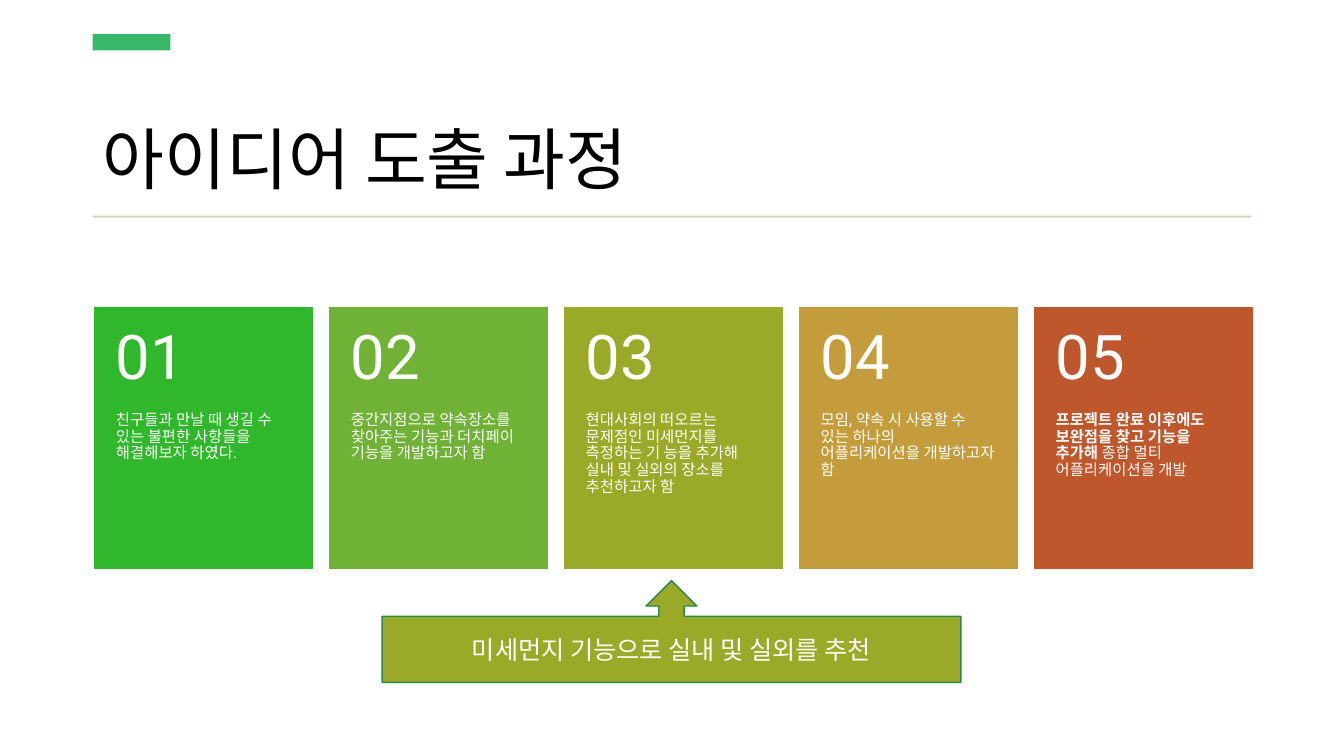
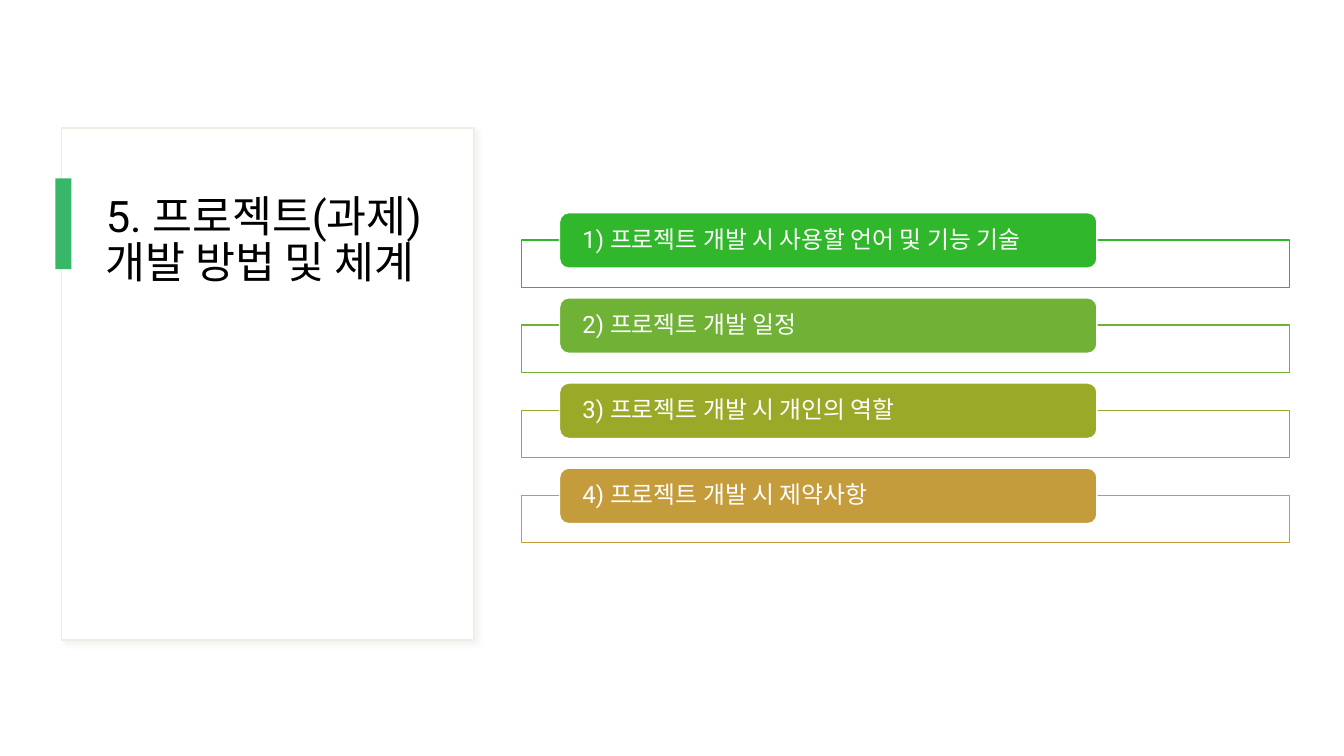
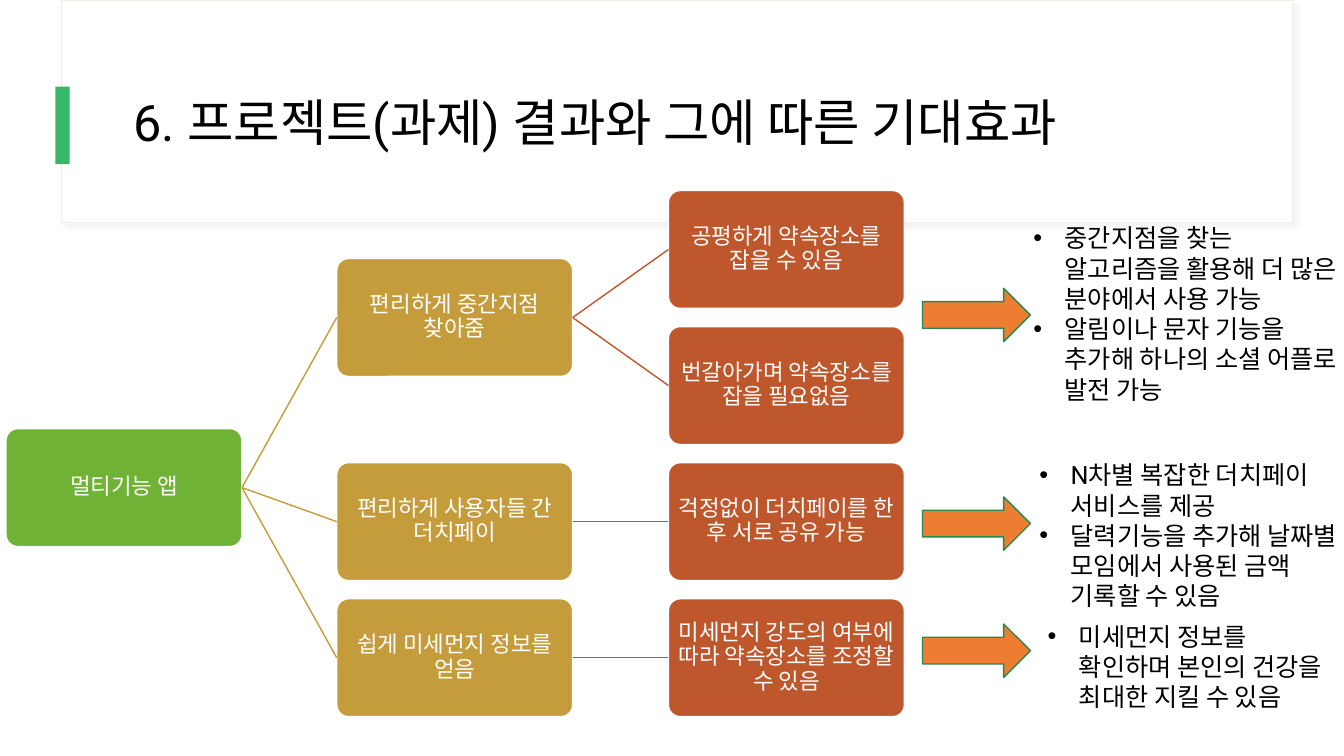
"""Build three slides on the idea, the method and the expected results of an app project."""
from lxml.etree import SubElement
from pptx import Presentation
from pptx.dml.color import RGBColor
from pptx.enum.shapes import MSO_CONNECTOR, MSO_SHAPE
from pptx.enum.text import MSO_ANCHOR, MSO_AUTO_SIZE, PP_ALIGN
from pptx.oxml.ns import qn
from pptx.util import Inches, Pt

FONT = "Roboto"
WHITE, BLACK = "FFFFFF", "000000"
ACCENT, RULE, PANEL_EDGE = "37B767", "DAD1BC", "F0EDE4"
ORANGE, DARK_GREEN = "ED7D31", "29874C"
GREEN, LEAF, OLIVE, GOLD, RUST = PALETTE = ["31B72B", "6FB236", "9AAA28", "C49C3B", "BF572D"]


def add_block(slide, preset, box, fill, line=None, width=1):
    """Add a preset shape without shadow, filled and optionally outlined."""
    block = slide.shapes.add_shape(preset, *map(Inches, box))
    block.shadow.inherit = False
    block.fill.solid()
    block.fill.fore_color.rgb = RGBColor.from_string(fill)
    if line:
        block.line.color.rgb = RGBColor.from_string(line)
        block.line.width = Pt(width)
    else:
        block.line.fill.background()
    return block


def style_text(shape, size, color=WHITE, anchor=MSO_ANCHOR.MIDDLE, align=PP_ALIGN.LEFT,
               margins=(0.1, 0.05, 0.1, 0.05), spacing=0.9):
    """Format the frame, paragraphs and runs of a shape."""
    frame = shape.text_frame
    frame.word_wrap = True
    frame.auto_size = MSO_AUTO_SIZE.NONE
    frame.vertical_anchor = anchor
    frame.margin_left, frame.margin_top, frame.margin_right, frame.margin_bottom = map(Inches, margins)
    for paragraph in frame.paragraphs:
        paragraph.alignment = align
        paragraph.line_spacing = spacing
        paragraph.space_before = Pt(0)
        for run in paragraph.runs:
            run.font.size = Pt(size)
            run.font.name = FONT
            run.font.color.rgb = RGBColor.from_string(color)


prs = Presentation()
prs.slide_width, prs.slide_height = Inches(13.33), Inches(7.5)
TITLE_ONLY, COMPARISON = prs.slide_layouts[5], prs.slide_layouts[4]

headings = [
    (TITLE_ONLY, "아이디어 도출 과정", (0.92, 0.75, 11.49, 1.27), 48, MSO_ANCHOR.BOTTOM,
     (0.92, 0.34, 0.77, 0.16), None),
    (TITLE_ONLY, "5. 프로젝트(과제) 개발 방법 및 체계", (0.95, 1.88, 3.39, 3.85), 31, MSO_ANCHOR.TOP,
     (0.55, 1.77, 0.16, 0.9), (0.61, 1.27, 4.09, 5.08)),
    (COMPARISON, "6. 프로젝트(과제) 결과와 그에 따른 기대효과", (1.22, 0.6, 11.12, 1.29), 36, MSO_ANCHOR.MIDDLE,
     (0.55, 0.86, 0.14, 0.77), (0.61, 0, 12.21, 2.21)),
]
for layout, heading, box, size, anchor, accent_box, panel_box in headings:
    slide = prs.slides.add_slide(layout)
    title = slide.shapes.title
    title.left, title.top, title.width, title.height = map(Inches, box)
    title.text_frame.text = heading
    style_text(title, size, BLACK, anchor)
    if panel_box:
        panel = add_block(slide, MSO_SHAPE.RECTANGLE, panel_box, WHITE, PANEL_EDGE)
        effects = panel._element.spPr.find(qn("a:effectLst"))
        shadow = SubElement(effects, qn("a:outerShdw"), blurRad="50800", dist="38100", dir="2700000")
        shade = SubElement(shadow, qn("a:srgbClr"), val="D9D9D9")
        SubElement(shade, qn("a:alpha"), val="30000")
        slide.shapes._spTree.insert(2, panel._element)
    add_block(slide, MSO_SHAPE.RECTANGLE, accent_box, ACCENT)

idea, method, results = prs.slides

add_block(idea, MSO_SHAPE.RECTANGLE, (0.92, 2.14, 11.49, 0.02), RULE)
steps = [
    ("", "친구들과 만날 때 생길 수 있는 불편한 사항들을 해결해보자 하였다."),
    ("", "중간지점으로 약속장소를 찾아주는 기능과 더치페이 기능을 개발하고자 함"),
    ("", "현대사회의 떠오르는 문제점인 미세먼지를 측정하는 기 능을 추가해 실내 및 실외의 장소를 추천하고자 함"),
    ("", "모임, 약속 시 사용할 수 있는 하나의 어플리케이션을 개발하고자 함"),
    ("프로젝트 완료 이후에도 보완점을 찾고 기능을 추가해 ", "종합 멀티 어플리케이션을 개발"),
]
for index, (step, color) in enumerate(zip(steps, PALETTE)):
    left = 0.94 + 2.33 * index
    card = add_block(idea, MSO_SHAPE.RECTANGLE, (left, 3.05, 2.16, 2.59), color, color)
    for part, bold in zip(step, (True, False)):
        if part:
            run = card.text_frame.paragraphs[0].add_run()
            run.text = part
            run.font.bold = bold
    style_text(card, 11, anchor=MSO_ANCHOR.TOP, margins=(0.21, 1.04, 0.21, 0.36))
    number = idea.shapes.add_textbox(*map(Inches, (left, 3.05, 2.16, 1.04)))
    number.text_frame.text = f"{index + 1:02}"
    style_text(number, 44, margins=(0.21, 0.18, 0.21, 0.18))

callout = add_block(idea, MSO_SHAPE.UP_ARROW_CALLOUT, (3.79, 5.76, 5.74, 1.01), OLIVE, DARK_GREEN)
callout.text_frame.text = "미세먼지 기능으로 실내 및 실외를 추천"
style_text(callout, 18, align=PP_ALIGN.CENTER, spacing=1.0)

topics = ["1) 프로젝트 개발 시 사용할 언어 및 기능 기술", "2) 프로젝트 개발 일정",
          "3) 프로젝트 개발 시 개인의 역할", "4) 프로젝트 개발 시 제약사항"]
for index, (topic, color) in enumerate(zip(topics, PALETTE)):
    top = 2.11 + 0.845 * index
    add_block(method, MSO_SHAPE.RECTANGLE, (5.17, top + 0.27, 7.62, 0.47), WHITE, color)
    label = add_block(method, MSO_SHAPE.ROUNDED_RECTANGLE, (5.55, top, 5.33, 0.55), color, WHITE)
    label.text_frame.text = topic
    style_text(label, 17, margins=(0.2, 0, 0.2, 0))

ROW_TOP, ROW_STEP = 1.89, 1.35
COLUMNS = [0.06, 3.34, 6.63]
tree = [
    ("멀티기능 앱", 0, 1.75, LEAF, None),
    ("편리하게 중간지점 찾아줌", 1, 0.5, GOLD, 0),
    ("공평하게 약속장소를 잡을 수 있음", 2, 0, RUST, 1),
    ("번갈아가며 약속장소를 잡을 필요없음", 2, 1, RUST, 1),
    ("편리하게 사용자들 간 더치페이", 1, 2, GOLD, 0),
    ("걱정없이 더치페이를 한 후 서로 공유 가능", 2, 2, RUST, 4),
    ("쉽게 미세먼지 정보를 얻음", 1, 3, GOLD, 0),
    ("미세먼지 강도의 여부에 따라 약속장소를 조정할 수 있음", 2, 3, RUST, 6),
]
nodes = []
for label, column, row, color, parent in tree:
    box = (COLUMNS[column], ROW_TOP + ROW_STEP * row, 2.34, 1.17)
    node = add_block(results, MSO_SHAPE.ROUNDED_RECTANGLE, box, color, WHITE)
    node.adjustments[0] = 0.1
    node.text_frame.text = label
    style_text(node, 16, align=PP_ALIGN.CENTER, margins=(0.01,) * 4)
    nodes.append(node)
    if parent is not None:
        branch = results.shapes.add_connector(MSO_CONNECTOR.STRAIGHT, 0, 0, 0, 0)
        branch.begin_connect(nodes[parent], 3)
        branch.end_connect(node, 1)
        branch.line.color.rgb = RGBColor.from_string(color)
        branch.line.width = Pt(1)
        SubElement(branch._element.spPr, qn("a:effectLst"))

effects_by_place = {
    1: (2.86, (10.15, 2.16, 3.18, 1.92),
        ["중간지점을 찾는 알고리즘을 활용해 더 많은 분야에서 사용 가능",
         "알림이나 문자 기능을 추가해 하나의 소셜 어플로 발전 가능"]),
    2: (4.93, (10.21, 4.51, 3.12, 1.62),
        ["N차별 복잡한 더치페이 서비스를 제공",
         "달력기능을 추가해 날짜별 모임에서 사용된 금액 기록할 수 있음"]),
    4: (6.19, (10.29, 6.11, 3.04, 1.01),
        ["미세먼지 정보를 확인하며 본인의 건강을 최대한 지킬 수 있음"]),
}
places = {place.placeholder_format.idx: place for place in results.placeholders}
for idx, (arrow_top, box, benefits) in effects_by_place.items():
    add_block(results, MSO_SHAPE.RIGHT_ARROW, (9.15, arrow_top, 1.07, 0.53), ORANGE, DARK_GREEN)
    benefit_list = places[idx]
    benefit_list.left, benefit_list.top, benefit_list.width, benefit_list.height = map(Inches, box)
    benefit_list.text_frame.text = "\n".join(benefits)
    for paragraph in benefit_list.text_frame.paragraphs:
        properties = paragraph._p.get_or_add_pPr()
        properties.set("marL", str(Inches(0.31)))
        properties.set("indent", str(-Inches(0.31)))
        SubElement(properties, qn("a:buFont"), typeface="Arial")
        SubElement(properties, qn("a:buChar"), char="•")
        for run in paragraph.runs:
            run.font.bold = False
    style_text(benefit_list, 18, BLACK, MSO_ANCHOR.TOP, margins=(0.1, 0.05, 0, 0.05), spacing=1.0)
unused = places[3]._element
unused.getparent().remove(unused)

prs.save("out.pptx")
